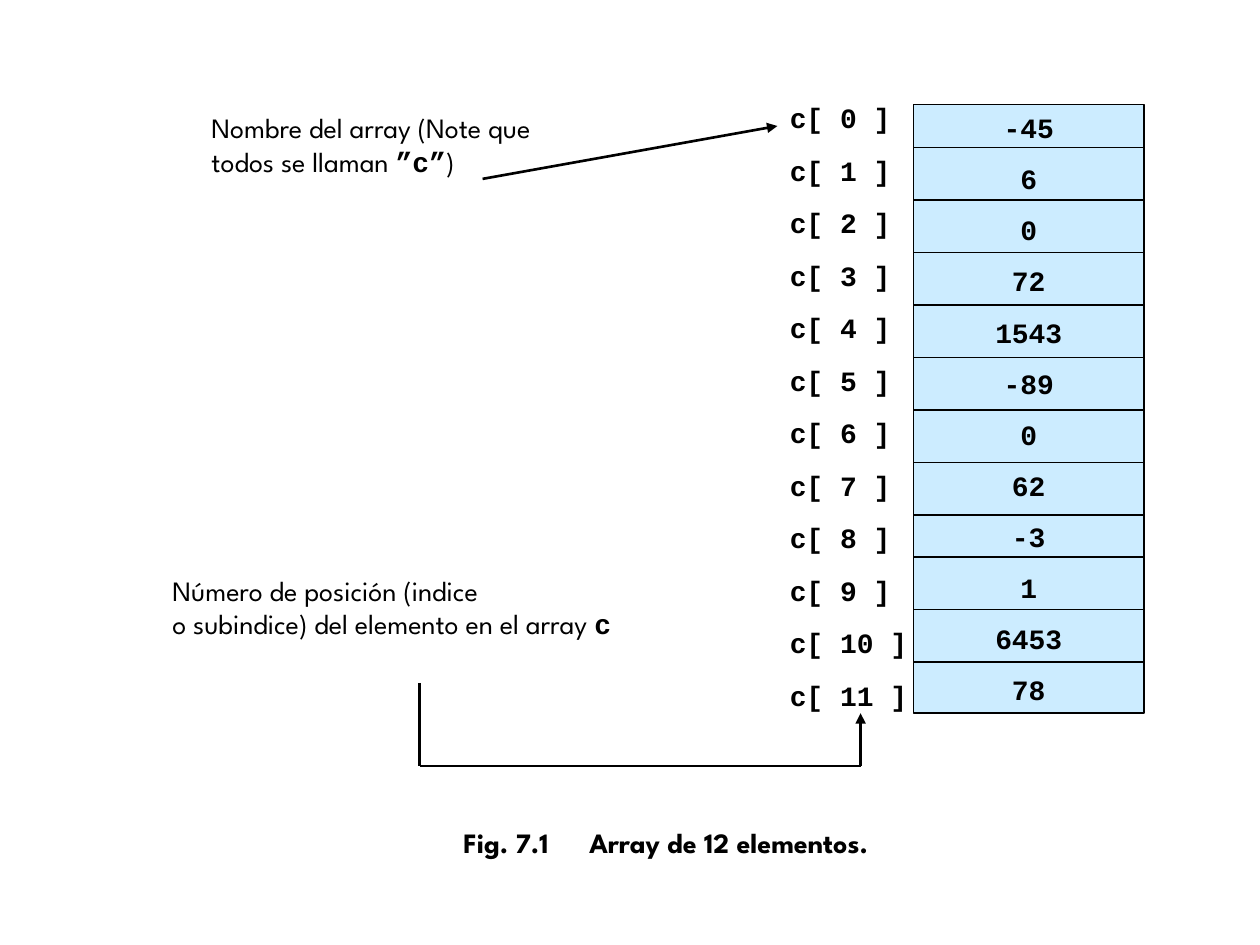
from lxml import etree
from pptx import Presentation
from pptx.dml.color import RGBColor
from pptx.enum.shapes import MSO_CONNECTOR, MSO_SHAPE
from pptx.enum.text import MSO_ANCHOR, MSO_AUTO_SIZE, PP_ALIGN
from pptx.oxml.ns import qn
from pptx.util import Inches, Pt

STRAIGHT = MSO_CONNECTOR.STRAIGHT
RECTANGLE = MSO_SHAPE.RECTANGLE
TOP = MSO_ANCHOR.TOP
FIT_SHAPE = MSO_AUTO_SIZE.SHAPE_TO_FIT_TEXT
FIXED_SIZE = MSO_AUTO_SIZE.NONE
LEFT, CENTER = PP_ALIGN.LEFT, PP_ALIGN.CENTER
color = RGBColor.from_string

BLACK, PALE_BLUE = "000000", "CCECFF"
BODY_FONT, CODE_FONT = "League Spartan", "Courier New"
ROW = 5 / 12  # regular row height in inches


def write_text(paragraph, text, font=BODY_FONT, bold=False, align=LEFT, space_before=0):
    """Append text to a paragraph; a newline becomes a line break."""
    paragraph.alignment = align
    paragraph.space_before = Pt(space_before)
    for index, line in enumerate(text.split("\n")):
        if index:
            paragraph.add_line_break()
        run = paragraph.add_run()
        run.text = line
        run.font.name = font
        run.font.size = Pt(16)
        run.font.bold = bold
        run.font.color.rgb = color(BLACK)


def draw_line(start, end, width, arrow=False):
    connector = slide.shapes.add_connector(STRAIGHT, *map(Inches, start + end))
    connector.line.color.rgb = color(BLACK)
    connector.line.width = Pt(width)
    if arrow:
        outline = connector.line._get_or_add_ln()
        etree.SubElement(outline, qn("a:tailEnd"), type="triangle")
    etree.SubElement(connector._element.spPr, qn("a:effectLst"))


presentation = Presentation()
presentation.slide_width, presentation.slide_height = Inches(10), Inches(7.5)
slide = presentation.slides.add_slide(presentation.slide_layouts[6])

# Array cells: one box holding all values
values = [-45, 6, 0, 72, 1543, -89, 0, 62, -3, 1, 6453, 78]
array_box = slide.shapes.add_shape(
    RECTANGLE, Inches(7.25), Inches(0.83), Inches(1.83), Inches(4.83))
array_box.shadow.inherit = False
array_box.fill.solid()
array_box.fill.fore_color.rgb = color(PALE_BLUE)
array_box.line.color.rgb = color(BLACK)
array_box.line.width = Pt(0.75)
frame = array_box.text_frame
frame.word_wrap = True
frame.auto_size = FIXED_SIZE
frame.vertical_anchor = TOP
for index, value in enumerate(values):
    paragraph = frame.add_paragraph() if index else frame.paragraphs[0]
    write_text(paragraph, str(value), font=CODE_FONT, bold=True, align=CENTER,
               space_before=10 if index else 0)

# Cell dividers: regular rows, restarting after the shorter ninth one
dividers = [1.17 + ROW * row for row in range(8)] + [4.42 + ROW * row for row in range(3)]
for y in dividers:
    draw_line((7.25, y), (9.08, y), 0.75)

# Text boxes: left, top, width, height, wraps, runs
code = {"font": CODE_FONT, "bold": True}
text_boxes = [
    (6.17, 0.75 + ROW * index, 1 if index < 10 else 1.13, 0.37, False,
     [(f"c[ {index} ]", code)])
    for index in range(len(values))
]
text_boxes += [
    (1.58, 0.83, 2.75, 0.9, True,
     [("Nombre del array (Note que todos se llaman ", {}), ("”c”", code), (")", {})]),
    (1.27, 4.5, 4.43, 0.64, False,
     [("Número de posición (indice\no subindice) del elemento en el array ", {}),
      ("c", code)]),
    (3.58, 6.5, 3.42, 0.64, True,
     [("Fig. 7.1\tArray de 12 elementos.", {"bold": True})]),
]
for left, top, width, height, wraps, runs in text_boxes:
    text_box = slide.shapes.add_textbox(*map(Inches, (left, top, width, height)))
    frame = text_box.text_frame
    frame.word_wrap = wraps
    frame.auto_size = FIT_SHAPE
    for text, text_format in runs:
        write_text(frame.paragraphs[0], text, **text_format)

# Tab stop of the caption, the last box
tab_list = etree.SubElement(frame.paragraphs[0]._p.get_or_add_pPr(), qn("a:tabLst"))
etree.SubElement(tab_list, qn("a:tab"), pos=str(Inches(1)), algn="l")

# Pointers from the notes to the labels
draw_line((3.83, 1.42), (6.17, 1), 1.5, arrow=True)
draw_line((3.33, 5.42), (3.33, 6.08), 1.5)
draw_line((3.33, 6.08), (6.83, 6.08), 1.5)
draw_line((6.83, 6.08), (6.83, 5.66), 1.5, arrow=True)

presentation.save("out.pptx")
